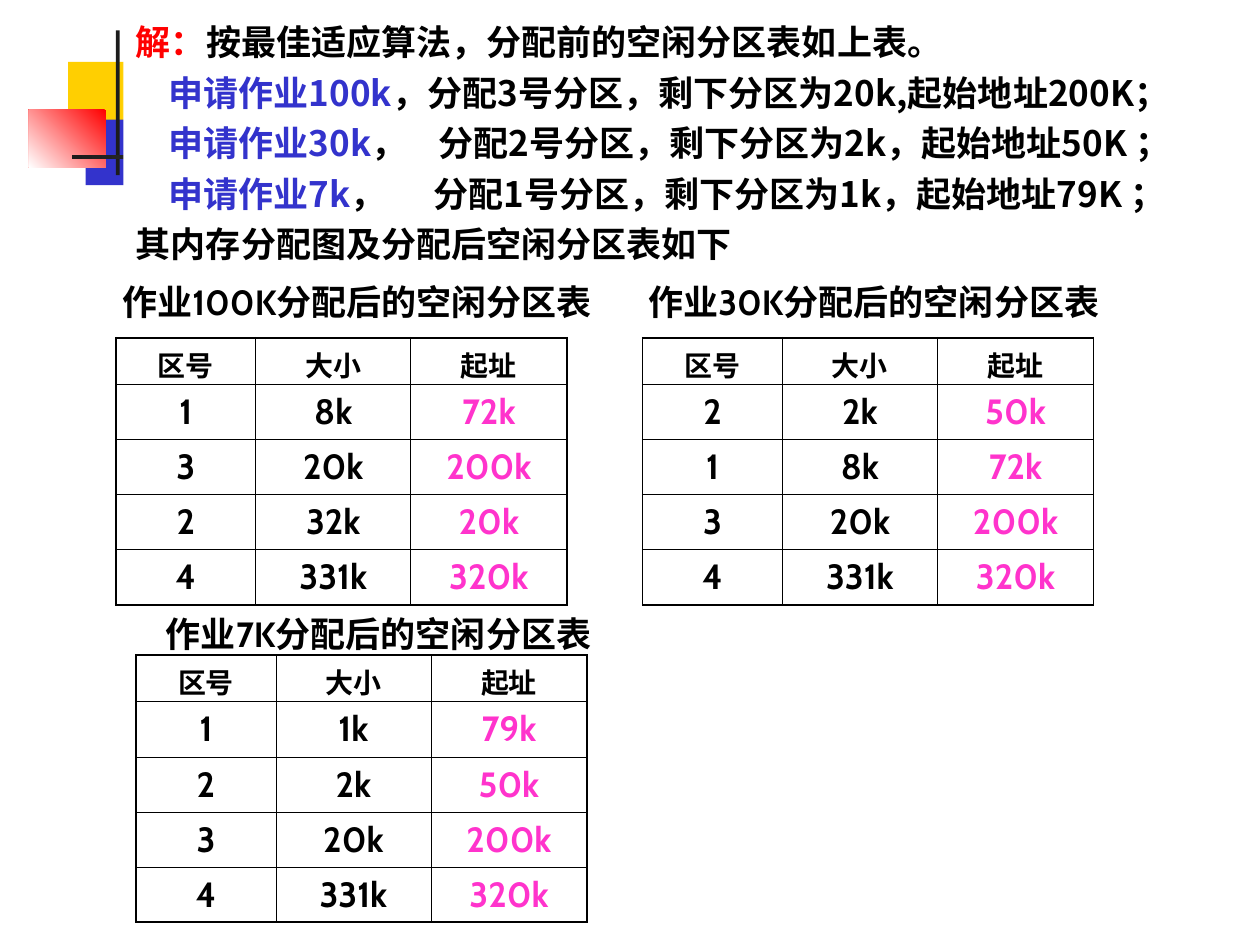
from lxml import etree
from pptx import Presentation
from pptx.dml.color import RGBColor
from pptx.enum.shapes import MSO_SHAPE
from pptx.enum.text import MSO_ANCHOR, MSO_AUTO_SIZE, PP_ALIGN
from pptx.oxml.ns import qn
from pptx.util import Inches, Pt

RECT = MSO_SHAPE.RECTANGLE
TOP = MSO_ANCHOR.TOP
FIT = MSO_AUTO_SIZE.SHAPE_TO_FIT_TEXT
LEFT, CENTER = PP_ALIGN.LEFT, PP_ALIGN.CENTER

THEME = {
    "cjk": "Noto Sans CJK SC", "latin": "Cabin",
    "black": "000000", "white": "FFFFFF", "red": "FF0000", "blue": "3333CC",
    "yellow": "FFCF01", "pink": "FF33CC", "dark": "1C1C1C",
    "body": 20, "header": 16, "thin": 0.45, "thick": 1.08,
}

DECOR = [
    ((0.54, 0.49, 0.48, 0.52), ("yellow",), 0),
    ((0.96, 0.49, 0.36, 0.52), ("white", "yellow"), 180),
    ((0.68, 0.95, 0.46, 0.52), ("blue",), 0),
    ((0.23, 0.87, 0.61, 0.46), ("red", "white"), 225),
    ((0.92, 0.24, 0.03, 1.15), ("dark",), 0),
    ((0.57, 1.23, 9, 0.03), ("white", "dark"), 180),
]

ANSWER_BOX = (0.98, 0.05, 9.02, 2.1)
INDENT = 0.26
ANSWER = [
    (0, None, [("解：", "red"), ("按最佳适应算法，分配前的空闲分区表如上表。", "black")]),
    (INDENT, None, [("申请作业100k", "blue"),
                    ("，分配3号分区，剩下分区为20k,起始地址200K；", "black")]),
    (INDENT, 2.14, [("申请作业30k", "blue"),
                    ("，\t分配2号分区，剩下分区为2k，起始地址50K ；", "black")]),
    (INDENT, 2.1, [("申请作业7k", "blue"),
                   ("，\t分配1号分区，剩下分区为1k，起始地址79K ；", "black")]),
    (0, None, [("其内存分配图及分配后空闲分区表如下", "black")]),
]

HEADER = ("区号", "大小", "起址")
COLS = (1.11, 1.23, 1.24)
TABLE_H, HEADER_H = 2.12, 0.37
TITLE_SIZE = (4.17, 0.44)
TABLES = [
    ("作业100K分配后的空闲分区表", (0.75, 2.18), (0.92, 2.68),
     [("1", "8k", "72k"), ("3", "20k", "200k"), ("2", "32k", "20k"), ("4", "331k", "320k")]),
    ("作业30K分配后的空闲分区表", (4.85, 2.18), (5.1, 2.68),
     [("2", "2k", "50k"), ("1", "8k", "72k"), ("3", "20k", "200k"), ("4", "331k", "320k")]),
    ("作业7K分配后的空闲分区表", (0.92, 4.81), (1.08, 5.2),
     [("1", "1k", "79k"), ("2", "2k", "50k"), ("3", "20k", "200k"), ("4", "331k", "320k")]),
]


def rgb(name):
    return RGBColor.from_string(THEME[name])


def set_attrs(obj, **values):
    for name, value in values.items():
        setattr(obj, name, value)


def add_run(p, text, color="black", size="body", font="latin"):
    r = p.add_run()
    r.text = text
    set_attrs(r.font, name=THEME[font], size=Pt(THEME[size]), bold=True)
    r.font.color.rgb = rgb(color)
    ea = etree.Element(qn("a:ea"), typeface=THEME["cjk"])
    r.font._element.find(qn("a:latin")).addnext(ea)


def add_rect(slide, box, colors, angle=0):
    sp = slide.shapes.add_shape(RECT, *map(Inches, box))
    sp.shadow.inherit = False
    sp.line.fill.background()
    if len(colors) == 1:
        sp.fill.solid()
        sp.fill.fore_color.rgb = rgb(colors[0])
    else:
        sp.fill.gradient()
        sp.fill.gradient_angle = angle
        for stop, color, position in zip(sp.fill.gradient_stops, colors, (0, 1)):
            stop.color.rgb = rgb(color)
            stop.position = position
    return sp


def add_answer(slide):
    tf = add_rect(slide, ANSWER_BOX, ("white",)).text_frame
    set_attrs(tf, word_wrap=True, auto_size=FIT, vertical_anchor=TOP)
    for i, (indent, tab, runs) in enumerate(ANSWER):
        p = tf.add_paragraph() if i else tf.paragraphs[0]
        set_attrs(p, alignment=LEFT, line_spacing=1.2)
        pPr = p._p.get_or_add_pPr()
        pPr.set("marL", str(Inches(indent)))
        if tab:
            tabs = etree.SubElement(pPr, qn("a:tabLst"))
            etree.SubElement(tabs, qn("a:tab"), pos=str(Inches(tab)), algn="l")
        for text, color in runs:
            add_run(p, text, color, font="cjk")


def set_borders(cell, widths):
    tcPr = cell._tc.get_or_add_tcPr()
    for i, (side, width) in enumerate(widths.items()):
        ln = etree.Element(qn("a:ln" + side), w=str(Pt(width)))
        fill = etree.SubElement(ln, qn("a:solidFill"))
        etree.SubElement(fill, qn("a:srgbClr"), val=THEME["black"])
        tcPr.insert(i, ln)


def add_partition_table(slide, at, records):
    rows = [HEADER] + records
    heights = [HEADER_H] + [(TABLE_H - HEADER_H) / len(records)] * len(records)
    size = (sum(COLS), TABLE_H)
    table = slide.shapes.add_table(len(rows), len(COLS), *map(Inches, at + size)).table
    set_attrs(table, first_row=False, horz_banding=False)
    for col, width in zip(table.columns, COLS):
        col.width = Inches(width)
    for row, height in zip(table.rows, heights):
        row.height = Inches(height)
    last_row, last_col = len(rows) - 1, len(COLS) - 1
    for i, values in enumerate(rows):
        for j, text in enumerate(values):
            cell = table.cell(i, j)
            cell.fill.background()
            p = cell.text_frame.paragraphs[0]
            set_attrs(p, alignment=CENTER, space_before=Pt(5 if i else 4))
            add_run(p, text, "pink" if i and j == last_col else "black",
                    "body" if i else "header")
            outer = {"L": j == 0, "R": j == last_col, "T": i == 0, "B": i == last_row}
            set_borders(cell, {side: THEME["thick" if edge else "thin"]
                               for side, edge in outer.items()})


def add_title(slide, text, at):
    tf = slide.shapes.add_textbox(*map(Inches, at + TITLE_SIZE)).text_frame
    set_attrs(tf, word_wrap=True, auto_size=FIT)
    p = tf.paragraphs[0]
    set_attrs(p, alignment=CENTER, space_before=Pt(12.5))
    add_run(p, text)


def main():
    prs = Presentation()
    set_attrs(prs, slide_width=Inches(10), slide_height=Inches(7.5))
    slide = prs.slides.add_slide(prs.slide_layouts[6])
    for box, colors, angle in DECOR:
        add_rect(slide, box, colors, angle)
    add_answer(slide)
    for title, title_at, table_at, records in TABLES:
        add_partition_table(slide, table_at, records)
        add_title(slide, title, title_at)
    prs.save("out.pptx")


if __name__ == "__main__":
    main()
